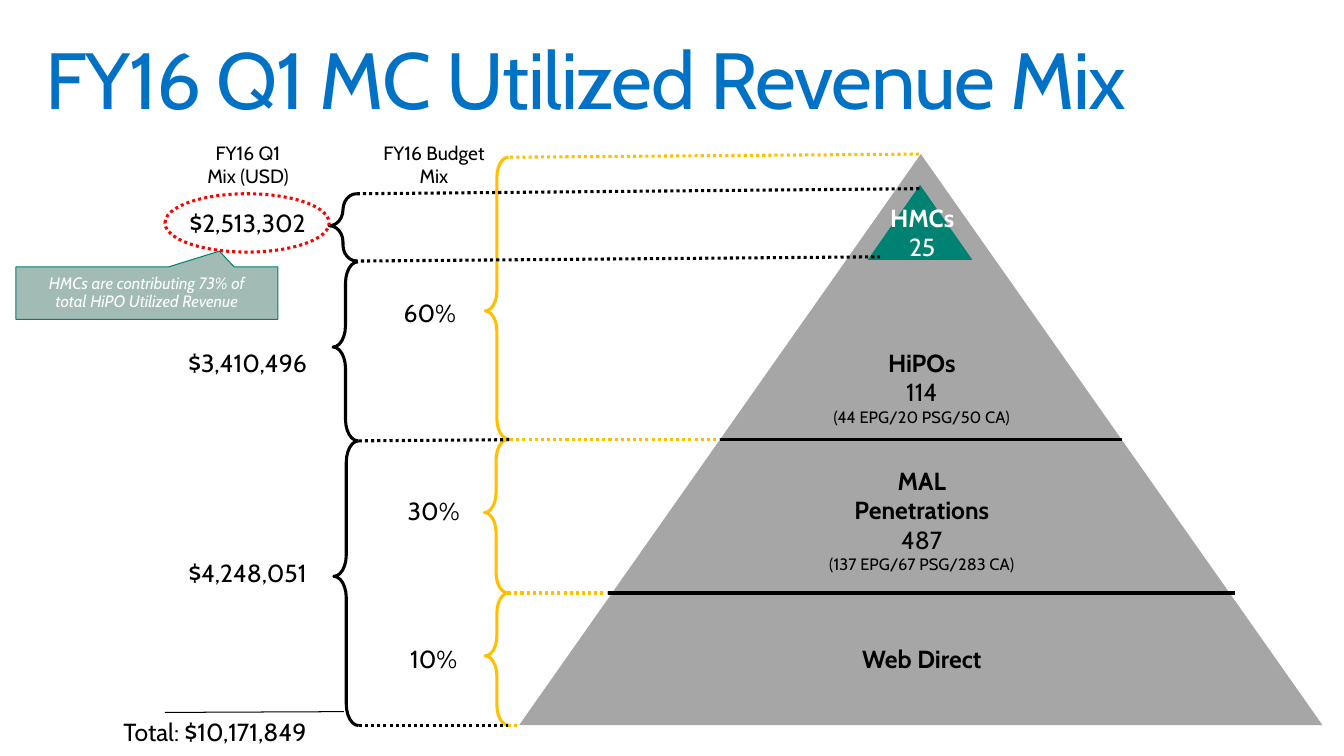
from lxml import etree
from pptx import Presentation
from pptx.dml.color import RGBColor
from pptx.enum.dml import MSO_LINE
from pptx.enum.shapes import MSO_CONNECTOR, MSO_SHAPE
from pptx.enum.text import MSO_ANCHOR, MSO_AUTO_SIZE, PP_ALIGN
from pptx.oxml.ns import qn
from pptx.util import Cm, Pt

STRAIGHT = MSO_CONNECTOR.STRAIGHT
BRACE = MSO_SHAPE.LEFT_BRACE
TRIANGLE = MSO_SHAPE.ISOSCELES_TRIANGLE
OVAL = MSO_SHAPE.OVAL
CALLOUT = MSO_SHAPE.RECTANGULAR_CALLOUT
DOTTED = MSO_LINE.ROUND_DOT
CENTER, LEFT = PP_ALIGN.CENTER, PP_ALIGN.LEFT
TOP, MIDDLE = MSO_ANCHOR.TOP, MSO_ANCHOR.MIDDLE
FIT, FIXED = MSO_AUTO_SIZE.SHAPE_TO_FIT_TEXT, MSO_AUTO_SIZE.NONE

BLACK = RGBColor(0x00, 0x00, 0x00)
WHITE = RGBColor(0xFF, 0xFF, 0xFF)
BLUE = RGBColor(0x00, 0x72, 0xC6)
GRAY = RGBColor(0xA6, 0xA6, 0xA6)
GOLD = RGBColor(0xFF, 0xC0, 0x00)
RED = RGBColor(0xFF, 0x00, 0x00)
GREEN = RGBColor(0x00, 0x82, 0x72)
SAGE = RGBColor(0xA2, 0xBB, 0xB5)


class RevenueSlide:
    FONT = "Cabin"
    LINE = 2.25

    def __init__(self, prs):
        self.slide = prs.slides.add_slide(prs.slide_layouts[5])
        self.shapes = self.slide.shapes

    def style(self, paragraph, size, color, bold=False, italic=False, align=CENTER):
        paragraph.alignment = align
        font = paragraph.font
        font.name, font.size = self.FONT, Pt(size)
        font.bold, font.italic = bold, italic
        font.color.rgb = color

    def insets(self, frame, side, end):
        frame.margin_left = frame.margin_right = Cm(side)
        frame.margin_top = frame.margin_bottom = Cm(end)

    def title(self, text, x, y, w, h):
        title = self.shapes.title
        title.left, title.top, title.width, title.height = Cm(x), Cm(y), Cm(w), Cm(h)
        frame = title.text_frame
        frame.text = text
        frame.word_wrap, frame.auto_size = True, FIXED
        frame.vertical_anchor = TOP
        self.insets(frame, 0.41, 0.25)
        heading = frame.paragraphs[0]
        heading.line_spacing = Pt(63)
        self.style(heading, 58, BLUE, align=LEFT)
        heading.runs[0].font._element.set("spc", "-100")

    def text(self, x, y, w, h, lines, color=BLACK):
        """Each line is (text, size, bold)."""
        frame = self.shapes.add_textbox(Cm(x), Cm(y), Cm(w), Cm(h)).text_frame
        frame.word_wrap, frame.auto_size = True, FIT
        for i, (line, size, bold) in enumerate(lines):
            paragraph = frame.add_paragraph() if i else frame.paragraphs[0]
            paragraph.text = line
            self.style(paragraph, size, color, bold)

    def shape(self, kind, x, y, w, h, fill=None, line=None, weight=LINE, dash=None, adjust=()):
        shape = self.shapes.add_shape(kind, Cm(x), Cm(y), Cm(w), Cm(h))
        shape.shadow.inherit = False
        if fill is None:
            shape.fill.background()
        else:
            shape.fill.solid()
            shape.fill.fore_color.rgb = fill
        if line is None:
            shape.line.fill.background()
        else:
            shape.line.color.rgb = line
            shape.line.width = Pt(weight)
            if dash:
                shape.line.dash_style = dash
        for i, value in enumerate(adjust):
            shape.adjustments[i] = value
        return shape

    def brace(self, x, y, w, h, color, tip=0.476):
        self.shape(BRACE, x, y, w, h, line=color, adjust=(0.86, tip))

    def line(self, x1, y1, x2, y2, color=BLACK, weight=LINE, dash=None):
        rule = self.shapes.add_connector(STRAIGHT, Cm(x1), Cm(y1), Cm(x2), Cm(y2))
        rule.line.color.rgb = color
        rule.line.width = Pt(weight)
        if dash:
            rule.line.dash_style = dash
        etree.SubElement(rule._element.spPr, qn("a:effectLst"))

    def callout(self, x, y, w, h, text):
        note = self.shape(CALLOUT, x, y, w, h, SAGE, GREEN, 0.75, adjust=(0.277, -0.8))
        frame = note.text_frame
        frame.text = text
        frame.word_wrap, frame.vertical_anchor = True, MIDDLE
        self.insets(frame, 0.51, 0.41)
        frame.paragraphs[0].line_spacing = 0.9
        self.style(frame.paragraphs[0], 12, WHITE, italic=True)


def main():
    prs = Presentation()
    prs.slide_width, prs.slide_height = Cm(34.54), Cm(19.43)
    page = RevenueSlide(prs)
    page.title("FY16 Q1 MC Utilized Revenue Mix", 0.76, 0.74, 32.51, 3.05)

    # Levels shared by the pyramid and the braces
    apex, hipo_base, mal_base, base = 3.96, 11.3, 15.24, 18.64

    # Pyramid and its tiers
    page.shape(TRIANGLE, 13.34, apex, 20.65, base - apex, GRAY)
    page.line(15.62, mal_base, 31.75, mal_base)
    page.line(18.47, hipo_base, 28.83, hipo_base)
    tiers = [
        (16.43, 1.02, [("Web Direct", 18, True)]),
        (11.84, 3.18, [("MAL", 18, True), ("Penetrations", 18, True), ("487", 18, False),
                       ("(137 EPG/67 PSG/283 CA)", 12, False)]),
        (8.81, 2.39, [("HiPOs", 18, True), ("114", 18, False),
                      ("(44 EPG/20 PSG/50 CA)", 12, False)]),
    ]
    for y, h, lines in tiers:
        page.text(19.6, y, 8.18, h, lines)

    # Budget mix: gold braces, guides and shares
    page.brace(12.47, mal_base, 0.6, base - mal_base, GOLD)
    page.brace(12.45, hipo_base, 0.6, mal_base - hipo_base, GOLD)
    page.brace(12.47, 4.04, 0.6, 7.24, GOLD, tip=0.546)
    for guide in [(13.06, mal_base, 15.62, mal_base), (13.06, base, 13.34, base),
                  (13.11, hipo_base, 18.49, hipo_base), (13.11, 4.04, 23.67, apex)]:
        page.line(*guide, color=GOLD, dash=DOTTED)
    for share, x, y in [("60%", 9.7, 7.52), ("30%", 9.8, 12.62), ("10%", 9.8, 16.43)]:
        page.text(x, y, 2.69, 1.02, [(share, 18, False)])

    # Column headings
    for x, heading in [(9.02, ("FY16 Budget", "Mix")), (4.24, ("FY16 Q1", "Mix (USD)"))]:
        page.text(x, 3.51, 4.27, 1.45, [(line, 14, False) for line in heading])

    # Revenue amounts and total
    for amount, y in [("$2,513,302", 5.21), ("$3,410,496", 8.81), ("$4,248,051", 14.2)]:
        page.text(4.55, y, 3.63, 1.02, [(amount, 18, False)])
    page.line(4.24, 18.31, 8.84, 18.29, weight=0.75)
    page.text(2.44, 18.31, 6.17, 1.02, [("Total: $10,171,849", 18, False)])

    # Revenue braces
    for brace in [(8.46, 4.98, 0.71, 1.73), (8.56, 6.73, 0.64, 4.6), (8.58, 11.33, 0.64, 7.32)]:
        page.brace(*brace, color=BLACK)

    # HMC highlight
    page.shape(OVAL, 4.24, 4.98, 4.22, 1.5, line=RED, dash=DOTTED)
    page.callout(0.41, 6.86, 6.73, 1.35,
                 "HMCs are contributing 73% of total HiPO Utilized Revenue")
    page.shape(TRIANGLE, 22.3, 4.75, 2.69, 1.93, GREEN)
    page.text(19.61, 5.08, 8.18, 1.8, [("HMCs", 18, True), ("25", 18, False)], WHITE)

    # Revenue guides
    for guide in [(9.12, 6.71, 22.61, 6.6), (9.17, 4.98, 23.65, 4.85),
                  (9.22, base, 13.06, base), (9.22, 11.33, 13.11, hipo_base)]:
        page.line(*guide, dash=DOTTED)

    prs.save("out.pptx")


if __name__ == "__main__":
    main()
